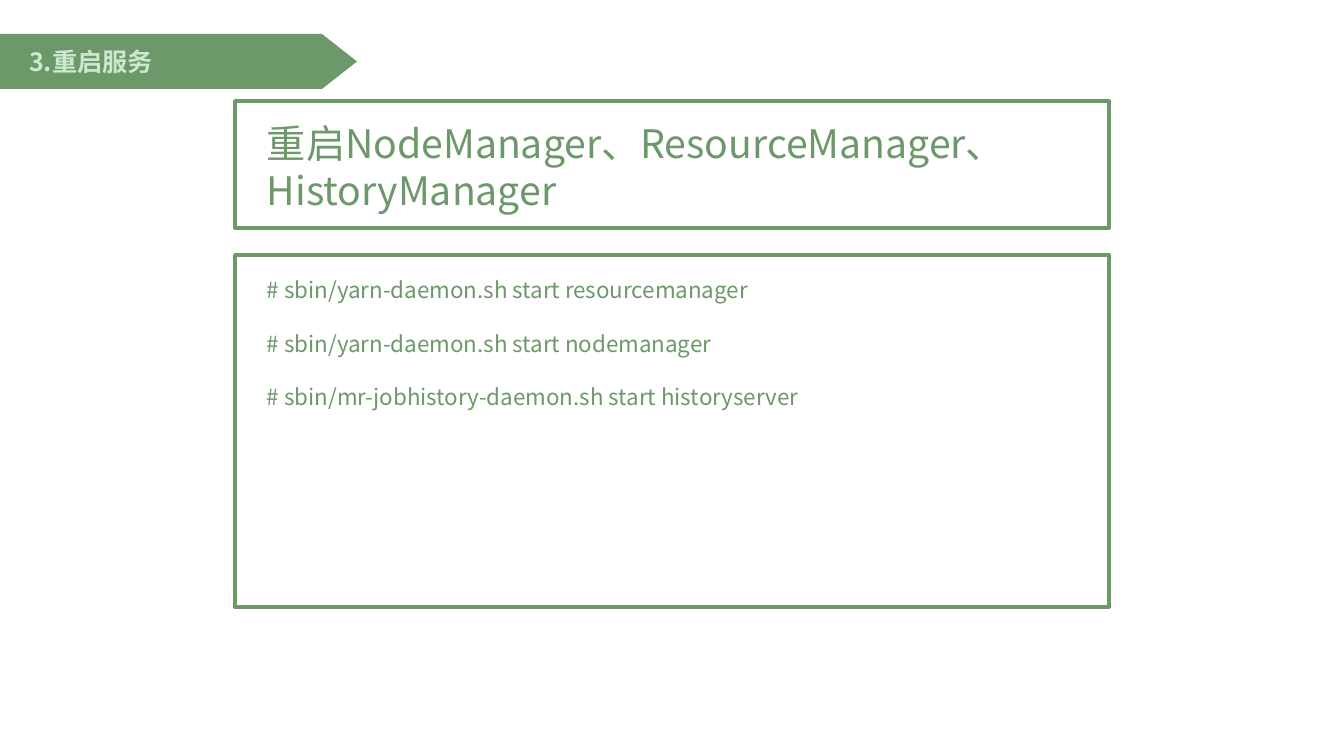
from lxml.etree import SubElement
from pptx import Presentation
from pptx.dml.color import RGBColor
from pptx.enum.shapes import MSO_SHAPE as Shape
from pptx.enum.text import MSO_ANCHOR as Anchor, PP_ALIGN as Align
from pptx.oxml.ns import qn
from pptx.util import Emu, Pt

GREEN = RGBColor(0x6D, 0x98, 0x6A)
PALE_GREEN = RGBColor(0xCC, 0xE8, 0xCF)
WHITE = RGBColor(0xFF, 0xFF, 0xFF)
FONT = "Noto Sans CJK SC"
PX_PER_INCH = 100.8
INSET = 5
FRAME_LEFT, FRAME_WIDTH = 235, 874
TEXT_LEFT, TEXT_WIDTH = 262, 826


def px(length):
    return Emu(round(length * 914400 / PX_PER_INCH))


class SlideBuilder:
    def __init__(self, deck):
        self.page = deck.slides.add_slide(deck.slide_layouts[6])
        self.page.background.fill.solid()
        self.page.background.fill.fore_color.rgb = WHITE

    def shape(self, kind, *bounds):
        shape = self.page.shapes.add_shape(kind, *map(px, bounds))
        shape.shadow.inherit = False
        return shape

    def solid(self, kind, *bounds, rotation=0):
        shape = self.shape(kind, *bounds)
        shape.rotation = rotation
        shape.fill.solid()
        shape.fill.fore_color.rgb = GREEN
        shape.line.fill.background()

    def frame(self, top, height):
        shape = self.shape(Shape.RECTANGLE, FRAME_LEFT, top, FRAME_WIDTH, height)
        shape.fill.background()
        shape.line.color.rgb = GREEN
        shape.line.width = Pt(2.5)

    def text(self, lines, *bounds, size, color=GREEN, bold=False,
             anchor=Anchor.TOP, gap=0):
        box = self.page.shapes.add_textbox(*map(px, bounds)).text_frame
        box.word_wrap = True
        box.vertical_anchor = anchor
        box.margin_left = box.margin_right = px(INSET)
        box.margin_top = box.margin_bottom = px(INSET)
        box.text = "\n".join(lines)
        for para in box.paragraphs:
            para.alignment = Align.LEFT
            para.space_after = Pt(gap)
            para.font.name = FONT
            para.font.size = Pt(size)
            para.font.bold = bold
            para.font.color.rgb = color
            # East Asian typeface
            defaults = para._p.get_or_add_pPr().find(qn("a:defRPr"))
            SubElement(defaults, qn("a:ea"), typeface=FONT)


def main():
    deck = Presentation()
    deck.slide_width, deck.slide_height = px(1344), px(756)
    slide = SlideBuilder(deck)

    # Section banner
    slide.solid(Shape.RECTANGLE, -1, 34, 323, 55)
    slide.solid(Shape.ISOSCELES_TRIANGLE, 312, 44, 55, 35, rotation=90)
    slide.text(["3.重启服务"], 24, 41, 273, 40, size=18, color=PALE_GREEN,
               bold=True, anchor=Anchor.MIDDLE)

    # Commands
    slide.frame(255, 352)
    slide.text(["# sbin/yarn-daemon.sh start resourcemanager",
                "# sbin/yarn-daemon.sh start nodemanager",
                "# sbin/mr-jobhistory-daemon.sh start historyserver"],
               TEXT_LEFT, 271, TEXT_WIDTH, 228, size=16, gap=19.2)

    # Heading
    slide.frame(101, 127)
    slide.text(["重启NodeManager、ResourceManager、HistoryManager"],
               TEXT_LEFT, 114, TEXT_WIDTH, 105, size=28)

    deck.save("out.pptx")


if __name__ == "__main__":
    main()
